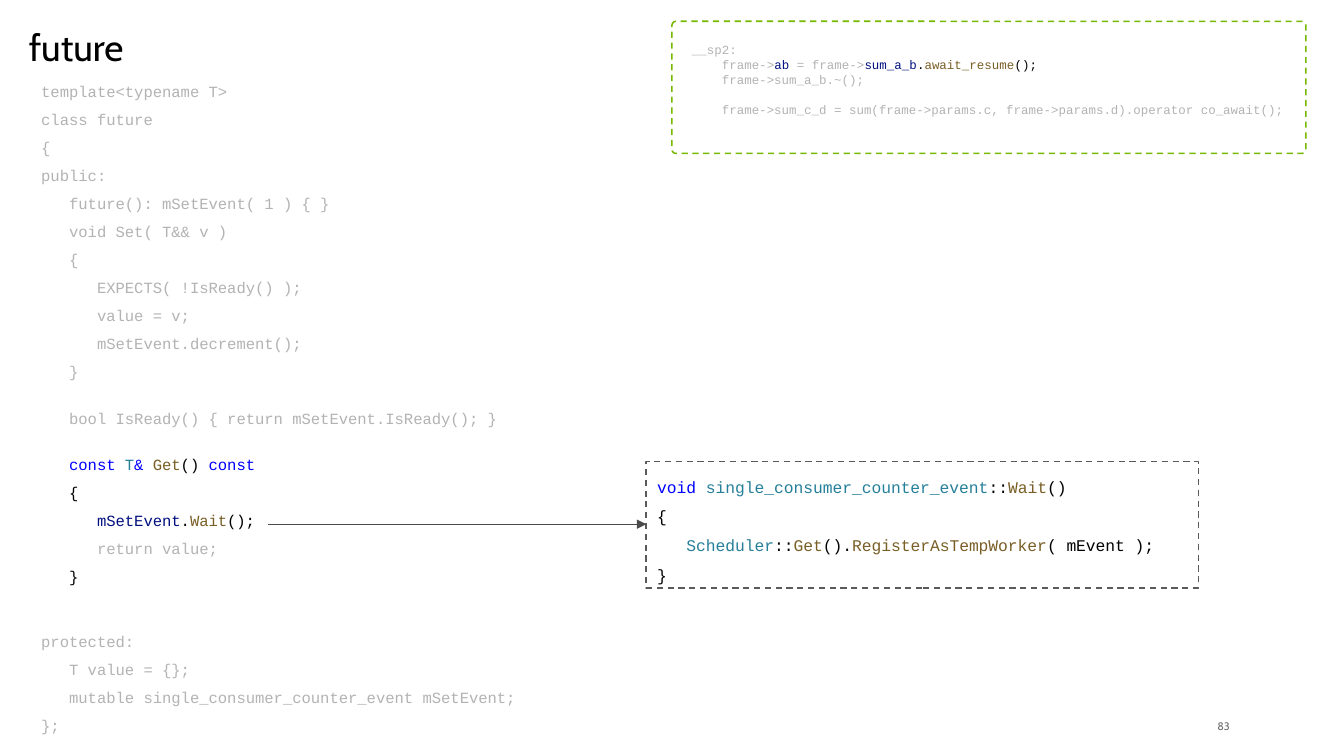
from dataclasses import dataclass
from lxml import etree
from pptx import Presentation
from pptx import util as u
from pptx.dml.color import RGBColor
from pptx.enum import dml, shapes, text
from pptx.oxml import ns


@dataclass(frozen=True)
class Theme:
    dim: str = "B3B3B3"
    ink: str = "000000"
    word: str = "0000FF"
    kind: str = "267F99"
    call: str = "795E26"
    name: str = "001080"
    frame: str = "76B900"
    edge: str = "5A5A5A"
    arrow: str = "4A4A4A"
    page: str = "6E6E6E"
    head: str = "Cabin"
    mono: str = "Courier New"
    title: float = 24
    code: float = 10
    event: float = 10.5
    small: float = 8
    num: float = 7


LOOK = Theme()

TITLE = [[("ink", "future")]]
PAGE = [[("page", "83")]]

FUTURE = [
    "template<typename T>",
    "class future",
    "{",
    "public:",
    "   future(): mSetEvent( 1 ) { }",
    "   void Set( T&& v )",
    "   {",
    "      EXPECTS( !IsReady() );",
    "      value = v;",
    "      mSetEvent.decrement();",
    "   }",
    "   bool IsReady() { return mSetEvent.IsReady(); }",
    [("word", "   const "), ("kind", "T"), ("word", "& "), ("call", "Get"),
     ("ink", "() "), ("word", "const")],
    [("ink", "   {")],
    [("name", "      mSetEvent"), ("ink", "."), ("call", "Wait"), ("ink", "();")],
    "      return value;",
    [("ink", "   }")],
    "protected:",
    "   T value = {};",
    "   mutable single_consumer_counter_event mSetEvent;",
    "};",
]
FUTURE_GAPS = {11: 1, 12: 1, 17: 2}

RESUME = [
    "__sp2:",
    [("dim", "    frame->"), ("name", "ab"), ("dim", " = frame->"), ("name", "sum_a_b"),
     ("ink", "."), ("call", "await_resume"), ("ink", "();")],
    "    frame->sum_a_b.~();",
    "    frame->sum_c_d = sum(frame->params.c, frame->params.d).operator co_await();",
]
RESUME_GAPS = {3: 1}

WAIT = [
    [("word", "void "), ("kind", "single_consumer_counter_event"), ("ink", "::"),
     ("call", "Wait"), ("ink", "()")],
    [("ink", "{")],
    [("kind", "   Scheduler"), ("ink", "::"), ("call", "Get"), ("ink", "()."),
     ("call", "RegisterAsTempWorker"), ("ink", "( mEvent );")],
    [("ink", "}")],
]


def tint(key):
    return RGBColor.from_string(getattr(LOOK, key))


def place(box):
    return [u.Inches(n) for n in box]


def write(frame, lines, font, size, gaps=None, after=0, lead=None):
    for i, line in enumerate(lines):
        para = frame.paragraphs[0] if i == 0 else frame.add_paragraph()
        para.alignment = text.PP_ALIGN.LEFT
        para.space_after = u.Pt(after)
        if gaps and i in gaps:
            para.space_before = u.Pt(round(gaps[i] * size * 1.18, 1))
        if lead:
            para.line_spacing = lead
        for key, part in [("dim", line)] if isinstance(line, str) else line:
            run = para.add_run()
            run.text = part
            run.font.name = font
            run.font.size = u.Pt(size)
            run.font.color.rgb = tint(key)


def label(slide, box, lines, font, size, wrap=True, mid=False, **more):
    frame = slide.shapes.add_textbox(*place(box)).text_frame
    frame.word_wrap = wrap
    if mid:
        frame.vertical_anchor = text.MSO_ANCHOR.MIDDLE
    write(frame, lines, font, size, **more)
    return frame


def dashed(slide, form, box, key):
    shape = slide.shapes.add_shape(form, *place(box))
    shape.shadow.inherit = False
    shape.fill.background()
    shape.line.color.rgb = tint(key)
    shape.line.width = u.Pt(1)
    shape.line.dash_style = dml.MSO_LINE.DASH
    return shape


def arrow(slide, start, end):
    line = slide.shapes.add_connector(
        shapes.MSO_CONNECTOR.STRAIGHT, *place(start + end))
    line.line.color.rgb = tint("arrow")
    line.line.width = u.Pt(0.75)
    tip = etree.SubElement(line.line._get_or_add_ln(), ns.qn("a:tailEnd"))
    tip.set("type", "triangle")
    etree.SubElement(line._element.spPr, ns.qn("a:effectLst"))


def main():
    deck = Presentation()
    deck.slide_width, deck.slide_height = place((12, 6.75))
    slide = deck.slides.add_slide(deck.slide_layouts[6])

    page = label(slide, (10.66, 6.41, 0.32, 0.15), PAGE, LOOK.head, LOOK.num, mid=True)
    page.margin_left = page.margin_right = page.margin_top = page.margin_bottom = 0
    page.paragraphs[0].alignment = text.PP_ALIGN.RIGHT

    label(slide, (0.16, 0.21, 1.14, 0.46), TITLE, LOOK.head, LOOK.title,
          wrap=False, mid=True, lead=0.9)
    label(slide, (0.27, 0.68, 7.04, 5.99), FUTURE, LOOK.mono, LOOK.code,
          gaps=FUTURE_GAPS, after=6)
    label(slide, (6.08, 0.33, 6, 1.04), RESUME, LOOK.mono, LOOK.small,
          gaps=RESUME_GAPS)

    frame = dashed(slide, shapes.MSO_SHAPE.ROUNDED_RECTANGLE,
                   (6, 0.19, 5.66, 1.18), "frame")
    frame.adjustments[0] = 0.03

    event = dashed(slide, shapes.MSO_SHAPE.RECTANGLE, (5.77, 4.12, 4.93, 1.13), "edge")
    event.text_frame.vertical_anchor = text.MSO_ANCHOR.TOP
    event.text_frame.word_wrap = True
    write(event.text_frame, WAIT, LOOK.mono, LOOK.event, lead=1.5)

    arrow(slide, (2.39, 4.68), (5.77, 4.68))
    deck.save("out.pptx")


if __name__ == "__main__":
    main()
